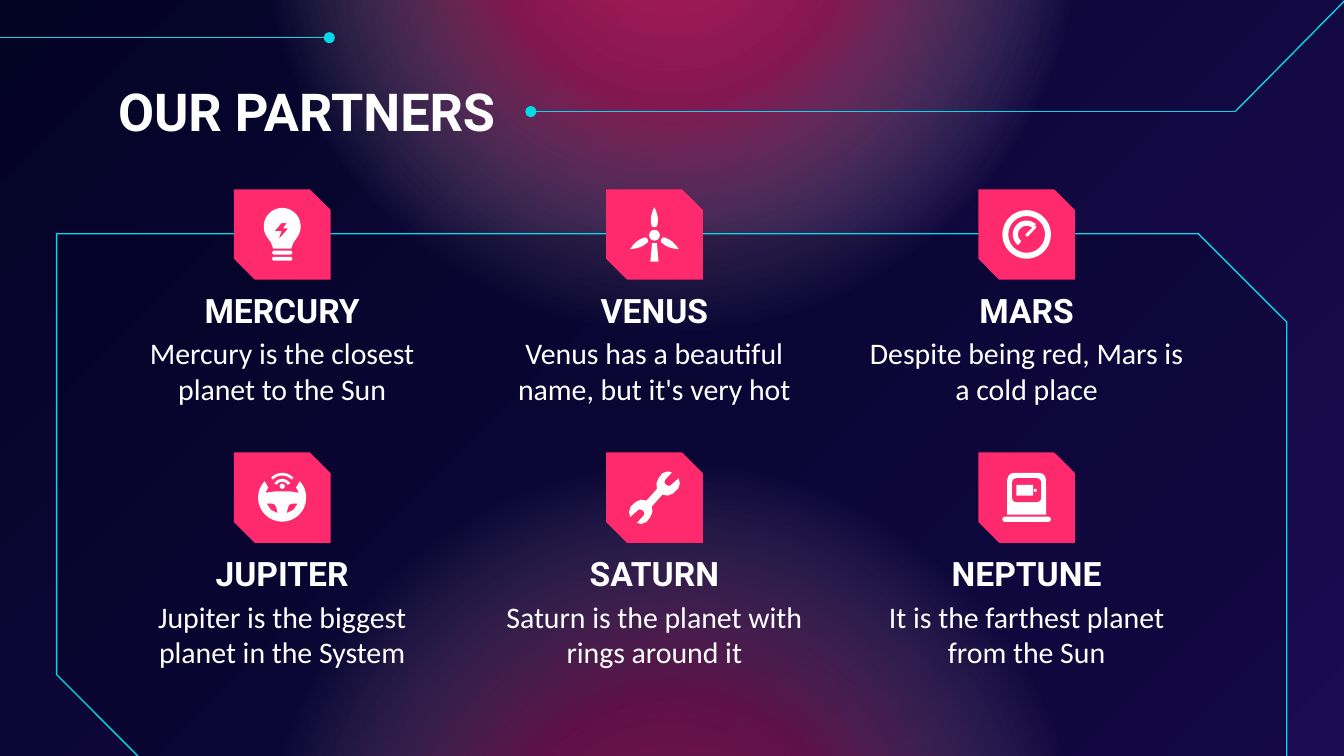
from math import cos, radians, sin

from pptx import Presentation
from pptx.dml.color import RGBColor
from pptx.enum.shapes import MSO_CONNECTOR, MSO_SHAPE
from pptx.enum.text import MSO_ANCHOR, PP_ALIGN
from pptx.oxml import parse_xml
from pptx.oxml.ns import nsdecls, qn
from pptx.util import Pt

NAVY = RGBColor(0x03, 0x03, 0x25)
PURPLE = RGBColor(0x1B, 0x0B, 0x52)
PINK = RGBColor(0xFF, 0x29, 0x6D)
CYAN = RGBColor(0x05, 0xD8, 0xE7)
WHITE = RGBColor(0xFF, 0xFF, 0xFF)

OVAL, RECT, DONUT = MSO_SHAPE.OVAL, MSO_SHAPE.RECTANGLE, MSO_SHAPE.DONUT
ROUND, ROUND_TOP = MSO_SHAPE.ROUNDED_RECTANGLE, MSO_SHAPE.ROUND_2_SAME_RECTANGLE
SNIP = MSO_SHAPE.SNIP_2_DIAG_RECTANGLE
STRAIGHT = MSO_CONNECTOR.STRAIGHT
TOP, BOTTOM = MSO_ANCHOR.TOP, MSO_ANCHOR.BOTTOM
LEFT, CENTER = PP_ALIGN.LEFT, PP_ALIGN.CENTER

# Centre of the first tile and the steps of the grid, in points
TILE_X, TILE_Y, STEP_X, STEP_Y = 151.2, 125.6, 199.4, 141
TILE_W, TILE_H = 51.8, 48.4
TEXT_W = 188

GLOW_STOPS = [(0, PINK, 67), (30, PINK, 49), (69, WHITE, 0), (100, WHITE, 0)]


def add_text(s, text, x, y, w, h, *, size, font, bold=False, align=CENTER, anchor=TOP):
    tf = s.shapes.add_textbox(Pt(x), Pt(y), Pt(w), Pt(h)).text_frame
    tf.word_wrap = True
    tf.vertical_anchor = anchor
    tf.margin_left = tf.margin_right = tf.margin_top = tf.margin_bottom = Pt(7.2)
    p = tf.paragraphs[0]
    p.alignment = align
    p.space_after = Pt(12)
    r = p.add_run()
    r.text = text
    r.font.size, r.font.name, r.font.bold = Pt(size), font, bold
    r.font.color.rgb = WHITE


def paint(sp, color):
    sp.shadow.inherit = False
    sp.fill.solid()
    sp.fill.fore_color.rgb = color
    sp.line.fill.background()


def add_preset(s, kind, x, y, w, h, color=WHITE, adj=()):
    sp = s.shapes.add_shape(kind, Pt(x), Pt(y), Pt(w), Pt(h))
    for i, value in enumerate(adj):
        sp.adjustments[i] = value
    paint(sp, color)
    return sp


def add_outline(s, cx, cy, *contours, color=WHITE):
    """Filled outline; contours after the first cut holes."""
    builder = None
    for contour in contours:
        points = [(Pt(cx + x), Pt(cy + y)) for x, y in contour]
        if builder is None:
            builder = s.shapes.build_freeform(*points[0])
        else:
            builder.move_to(*points[0])
        builder.add_line_segments(points[1:], close=True)
    paint(builder.convert_to_shape(), color)


def add_line(s, x1, y1, x2, y2, dot=False):
    c = s.shapes.add_connector(STRAIGHT, Pt(x1), Pt(y1), Pt(x2), Pt(y2))
    c.line.color.rgb = CYAN
    c.line.width = Pt(0.75)
    if dot:
        c.line._get_or_add_ln().append(parse_xml(f'<a:tailEnd {nsdecls("a")} type="oval"/>'))
    c._element.spPr.append(parse_xml(f'<a:effectLst {nsdecls("a")}/>'))


def add_glow(s, x, y, size):
    sp = add_preset(s, OVAL, x, y, size, size)
    stops = "".join(
        f'<a:gs pos="{pos * 1000}"><a:srgbClr val="{color}">'
        f'<a:alpha val="{alpha * 1000}"/></a:srgbClr></a:gs>'
        for pos, color, alpha in GLOW_STOPS)
    spPr = sp._element.spPr
    spPr.replace(spPr.find(qn("a:solidFill")), parse_xml(
        f'<a:gradFill {nsdecls("a")}><a:gsLst>{stops}</a:gsLst><a:path path="circle">'
        '<a:fillToRect l="50000" t="50000" r="50000" b="50000"/></a:path></a:gradFill>'))


def add_frame(s):
    sp = add_preset(s, SNIP, 30.4, 125.2, 659, 283.6, NAVY, (0, 0.167))
    color = sp._element.spPr.find(qn("a:solidFill"))[0]
    color.append(parse_xml(f'<a:alpha {nsdecls("a")} val="31000"/>'))
    sp.line.color.rgb = CYAN
    sp.line.width = Pt(0.75)


def arc(r, start, end, y=0, steps=24):
    """Points on a circle, angles clockwise from the right."""
    angles = [radians(start + (end - start) * i / steps) for i in range(steps + 1)]
    return [(r * cos(a), y + r * sin(a)) for a in angles]


def band(inner, outer, start, end, y=0):
    return arc(outer, start, end, y) + arc(inner, end, start, y)


def mirrored(points):
    return [(-x, y) for x, y in points]


def turned(points, degrees):
    c, n = cos(radians(degrees)), sin(radians(degrees))
    return [(x * c - y * n, x * n + y * c) for x, y in points]


# Icons, each drawn around the centre of its tile
def bulb(s, x, y):
    bolt = [(2.5, -6.1), (0.4, -3.2), (3.2, -3.2), (-1.8, 2.5), (-0.4, -1.8), (-4, -1.8), (-0.4, -6.1)]
    glass = arc(9.9, 145, 395, -4.3) + [(6, 4.4), (4.8, 7.6), (-4.8, 7.6), (-6, 4.4)]
    add_outline(s, x, y, glass, bolt)
    for top in (8.7, 12):
        add_preset(s, ROUND, x - 5.4, y + top, 10.8, 2.1, adj=(0.5,))


def turbine(s, x, y):
    side = [(0, -15), (1, -12.8), (1.8, -9.8), (1.9, -7.5), (1.5, -5), (0.8, -4.3)]
    blade = side + mirrored(side[::-1])
    for angle in (0, 120, 240):
        add_outline(s, x, y + 0.4, turned(blade, angle))
    add_preset(s, OVAL, x - 2.9, y - 2.5, 5.8, 5.8)
    add_outline(s, x, y, [(-1.3, 4.6), (-2.2, 14.6), (2.2, 14.6), (1.3, 4.6)])


def gauge(s, x, y):
    add_preset(s, DONUT, x - 13, y - 13, 26, 26, adj=(0.12,))
    add_outline(s, x, y, band(4.6, 7.4, 128, 312))
    add_outline(s, x, y, [(4.4, -4.8), (5.4, -4), (0.8, 1), (-0.4, 1.1), (-0.6, -0.1)])


def steering_wheel(s, x, y):
    rim_top = [(-7.4, -5.4), (-9, -2.6), (-4, -3.3), (4, -3.3), (9, -2.6), (7.4, -5.4)]
    gap = [(-8.3, 3.2), (-5.4, 3.2), (-3.8, 3.8), (-3.1, 5.4), (-2.4, 8.3), (-6, 6.6)]
    add_outline(s, x, y, arc(12.9, -43, 223) + rim_top, gap, mirrored(gap))
    add_preset(s, OVAL, x - 1.4, y - 7.5, 2.8, 2.8)
    add_outline(s, x, y, band(3.5, 5, 212, 328, -5))
    add_outline(s, x, y, band(6.8, 8.2, 223, 317, -5))


def wrench(s, x, y):
    half = [(1.4, -4.7), (1.1, -7.6), (2.2, -10.4), (4.3, -13.1), (7.2, -14.1), (9.4, -13.5),
            (5.6, -9.4), (5.4, -7.9), (6.3, -6.8), (7.7, -6.3), (8.6, -6.5), (13, -10.4),
            (13.6, -7.6), (12.8, -5), (10, -2.2), (7.2, -1.1), (4.3, -1.6)]
    add_outline(s, x, y, half + turned(half, 180))


def charger(s, x, y):
    add_preset(s, ROUND_TOP, x - 10.4, y - 13.3, 20.8, 22.4, adj=(0.18, 0))
    add_preset(s, ROUND, x - 7.8, y - 10.4, 15.6, 12.8, PINK, (0.18,))
    add_preset(s, ROUND, x - 13, y + 10.2, 26, 2.8, adj=(0.5,))
    add_preset(s, RECT, x - 5.5, y - 6.8, 9, 5.8)
    add_preset(s, RECT, x + 3.9, y - 4.7, 1.5, 1.5)


PARTNERS = [
    ("MERCURY", "Mercury is the closest planet to the Sun", bulb),
    ("VENUS", "Venus has a beautiful name, but it's very hot", turbine),
    ("MARS", "Despite being red, Mars is a cold place", gauge),
    ("JUPITER", "Jupiter is the biggest planet in the System", steering_wheel),
    ("SATURN", "Saturn is the planet with rings around it", wrench),
    ("NEPTUNE", "It is the farthest planet from the Sun", charger),
]


def add_partner(s, x, y, name, text, draw_icon):
    left = x - TEXT_W / 2
    add_text(s, name, left, y + 22.6, TEXT_W, 36, size=18, font="Roboto", bold=True, anchor=BOTTOM)
    add_text(s, text, left, y + 46.7, TEXT_W, 53.3, size=16, font="Calibri")
    add_preset(s, SNIP, x - TILE_W / 2, y - TILE_H / 2, TILE_W, TILE_H, PINK, (0, 0.23))
    draw_icon(s, x, y)


def main():
    prs = Presentation()
    prs.slide_width, prs.slide_height = Pt(720), Pt(405)
    s = prs.slides.add_slide(prs.slide_layouts[6])

    # Background, glows and frame
    fill = s.background.fill
    fill.gradient()
    fill.gradient_angle = 315
    for stop, color in zip(fill.gradient_stops, (NAVY, PURPLE)):
        stop.color.rgb = color
    for top in (-266.4, 242.6):
        add_glow(s, 134.6, top, 450)
    add_frame(s)

    # Title and partners
    add_text(s, "OUR PARTNERS", 56.2, 35.3, 607.7, 48.2, size=28, font="Roboto", bold=True, align=LEFT)
    for i, partner in enumerate(PARTNERS):
        row, col = divmod(i, 3)
        add_partner(s, TILE_X + col * STEP_X, TILE_Y + row * STEP_Y, *partner)

    # Circuit lines
    add_line(s, 723.6, -2.9, 661.7, 59.8)
    add_line(s, 661.7, 59.8, 284.4, 59.8, dot=True)
    add_line(s, -1.4, 20.2, 176.4, 20.2, dot=True)

    prs.save("out.pptx")


if __name__ == "__main__":
    main()
